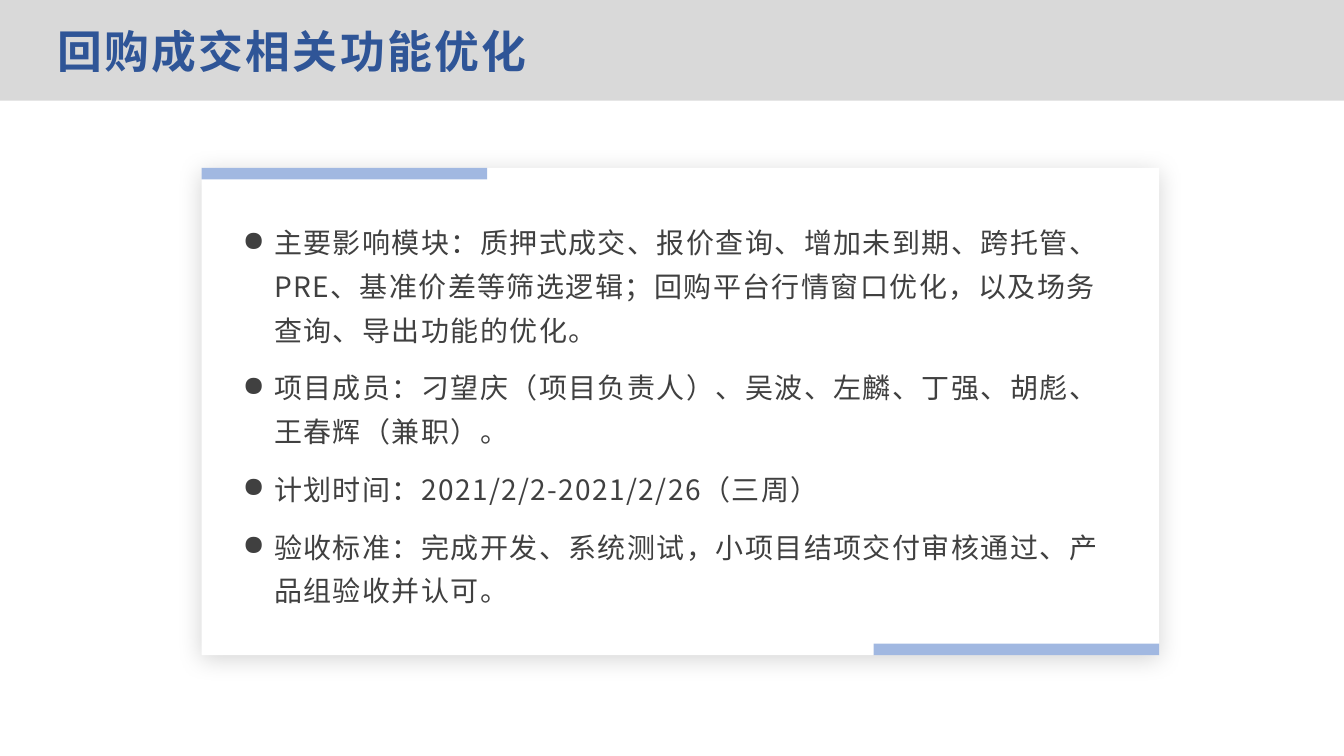
from lxml.etree import SubElement
from pptx import Presentation
from pptx.dml.color import RGBColor
from pptx.enum.shapes import MSO_SHAPE as SHAPE
from pptx.enum.text import MSO_ANCHOR as ANCHOR, PP_ALIGN as ALIGN
from pptx.oxml.ns import qn
from pptx.util import Pt

PX = 9525  # EMU per px, 96 px to the inch
SLIDE_W, SLIDE_H = 1280, 720
FONT = "Noto Sans CJK SC"
GREY = RGBColor(0xD9, 0xD9, 0xD9)
WHITE = RGBColor(0xFF, 0xFF, 0xFF)
BLUE = RGBColor(0x44, 0x72, 0xC4)
NAVY = RGBColor(0x2F, 0x55, 0x97)
INK = RGBColor(0x40, 0x40, 0x40)

TITLE = "回购成交相关功能优化"
POINTS = [
    "主要影响模块：质押式成交、报价查询、增加未到期、跨托管、PRE、基准价差等筛选逻辑；"
    "回购平台行情窗口优化，以及场务查询、导出功能的优化。",
    "项目成员：刁望庆（项目负责人）、吴波、左麟、丁强、胡彪、王春辉（兼职）。",
    "计划时间：2021/2/2-2021/2/26（三周）",
    "验收标准：完成开发、系统测试，小项目结项交付审核通过、产品组验收并认可。",
]


def emu(*lengths):
    return [length * PX for length in lengths]


def add_rect(slide, box, color, alpha=None):
    s = slide.shapes.add_shape(SHAPE.RECTANGLE, *emu(*box))
    s.shadow.inherit = False
    s.fill.solid()
    s.fill.fore_color.rgb = color
    s.line.fill.background()
    if alpha is not None:
        clr = s.fill._xPr.find(".//" + qn("a:srgbClr"))
        SubElement(clr, qn("a:alpha"), val=str(alpha * 1000))
    return s


def add_soft_shadow(s, blur, dist, alpha):
    """Drop a black shadow straight down; blur and dist in points, alpha in percent."""
    effects = s._element.spPr.find(qn("a:effectLst"))
    shadow = SubElement(effects, qn("a:outerShdw"), blurRad=str(Pt(blur)), dist=str(Pt(dist)),
                        dir="5400000", algn="ctr", rotWithShape="0")
    clr = SubElement(shadow, qn("a:srgbClr"), val="000000")
    SubElement(clr, qn("a:alpha"), val=str(alpha * 1000))


def set_bullet(p, char, indent):
    pPr = p._p.get_or_add_pPr()
    pPr.set("marL", str(indent * PX))
    pPr.set("indent", str(-indent * PX))
    SubElement(pPr, qn("a:buChar"), char=char)


def add_text(slide, box, paragraphs, size, color, bold=False, tracking=0,
             line_spacing=None, gap=0, bullet=None, indent=0):
    tf = slide.shapes.add_textbox(*emu(*box)).text_frame
    tf.word_wrap = True
    tf.vertical_anchor = ANCHOR.MIDDLE
    tf.margin_left = tf.margin_right = 7 * PX
    tf.margin_top = tf.margin_bottom = 3 * PX
    for i, text in enumerate(paragraphs):
        p = tf.add_paragraph() if i else tf.paragraphs[0]
        if bullet:
            set_bullet(p, bullet, indent)
        p.alignment = ALIGN.LEFT
        p.line_spacing = line_spacing
        p.space_before = Pt(gap if i else 0)
        r = p.add_run()
        r.text = text
        r.font.size = Pt(size)
        r.font.bold = bold
        r.font.color.rgb = color
        r.font.name = FONT
        rPr = r._r.get_or_add_rPr()
        rPr.set("lang", "zh-CN")
        rPr.set("spc", str(round(tracking * 100)))
        SubElement(rPr, qn("a:ea"), typeface=FONT)


def add_header(slide, x, y, w, h):
    add_rect(slide, (x, y, w, h), GREY)
    add_text(slide, (x + 48, y + 16, w - 96, h - 32), [TITLE], 32, NAVY, bold=True, tracking=1.6)


def add_card(slide, x, y, w, h):
    card = add_rect(slide, (x, y, w, h), WHITE)
    add_soft_shadow(card, blur=17, dist=3, alpha=17)
    bar_w, bar_h = 272, 11
    for bar_x, bar_y in ((x + w - bar_w, y + h - bar_h), (x, y)):
        add_rect(slide, (bar_x, bar_y, bar_w, bar_h), BLUE, alpha=50)
    pad = 32
    add_text(slide, (x + pad, y + pad, w - 2 * pad, h - 2 * pad), POINTS, 20, INK,
             tracking=1, line_spacing=1.3, gap=10, bullet="●", indent=30)


def main():
    prs = Presentation()
    prs.slide_width, prs.slide_height = emu(SLIDE_W, SLIDE_H)
    slide = prs.slides.add_slide(prs.slide_layouts[6])
    add_header(slide, 0, 0, SLIDE_W, 96)
    add_card(slide, 192, 160, 912, 464)
    prs.save("out.pptx")


if __name__ == "__main__":
    main()
